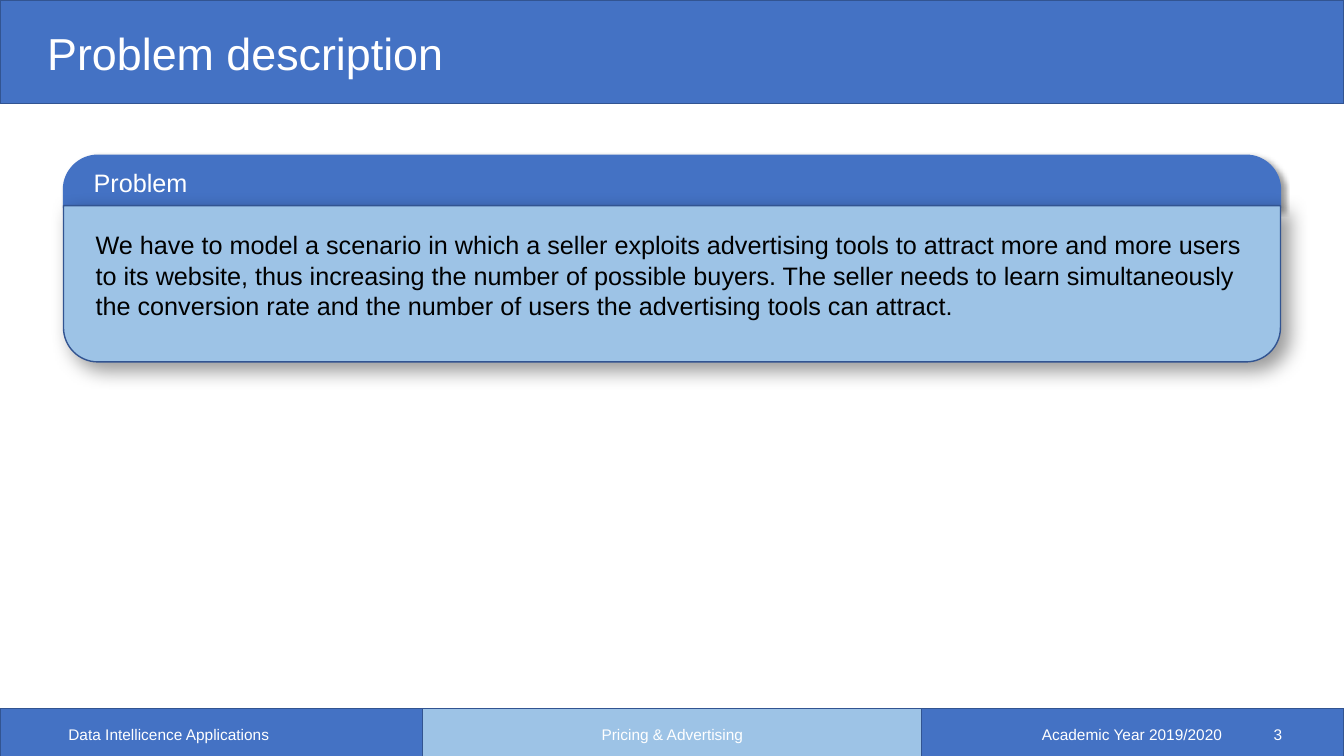
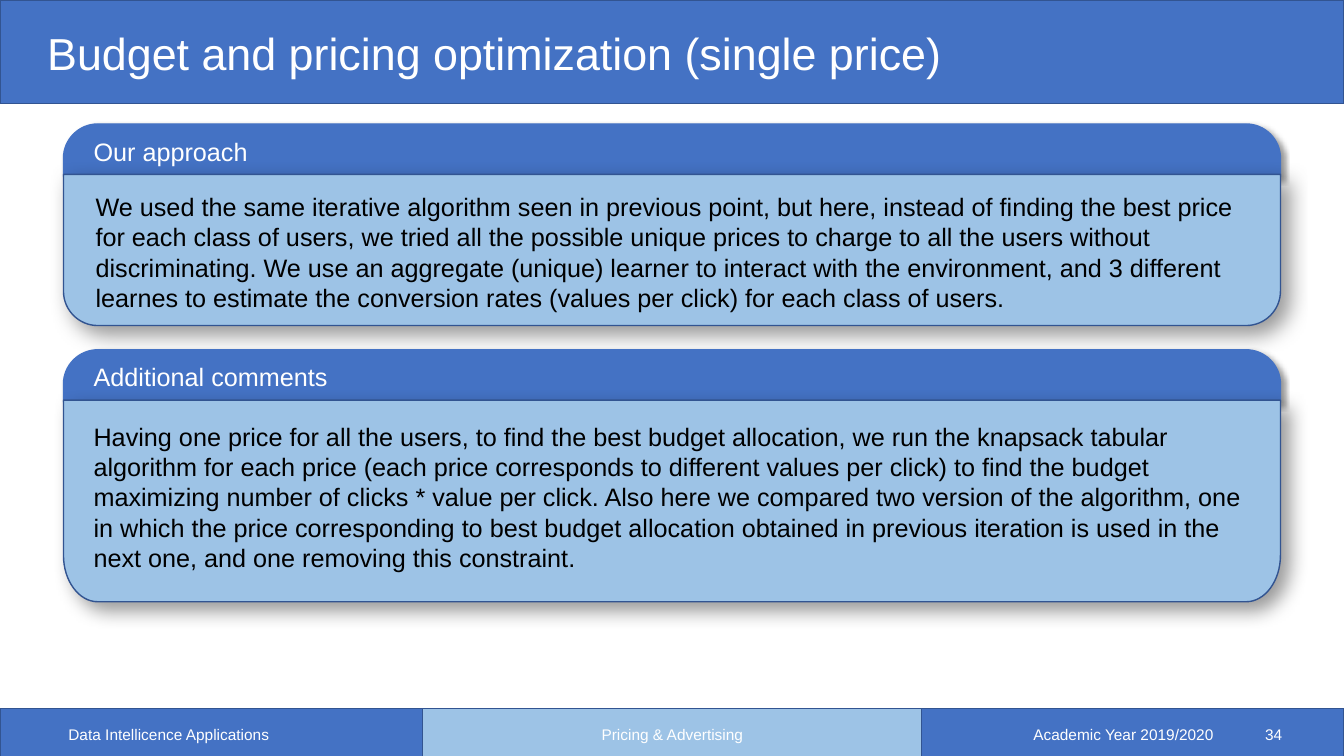
from lxml.etree import Element, SubElement
from pptx import Presentation
from pptx.dml.color import RGBColor
from pptx.enum.shapes import MSO_SHAPE
from pptx.enum.text import MSO_ANCHOR as Anchor, PP_ALIGN as Align
from pptx.oxml.ns import qn
from pptx.util import Inches, Pt

BLUE = RGBColor(0x44, 0x72, 0xC4)
LIGHT_BLUE = RGBColor(0x9D, 0xC3, 0xE6)
OUTLINE = RGBColor(0x32, 0x54, 0x91)
WHITE = RGBColor(0xFF, 0xFF, 0xFF)
BLACK = RGBColor(0, 0, 0)
FONT = "Arial"

SLIDE_WIDTH, SLIDE_HEIGHT = 13.33, 7.5
PANEL_LEFT, PANEL_WIDTH = 0.63, 12.07
HEADING_HEIGHT, HEADING_STEP = 0.52, 0.5
CORNER = 0.34
ARC_PULL = 0.55  # share of the way from an arc's end to its corner

FOOTER_TOP, FOOTER_HEIGHT = 7.03, 0.49
NUMBER_RIGHT, NUMBER_GAP, DIGIT_WIDTH = 2.8, 0.51, 0.085


def add_text(slide, text, left, top, width, height, *, size=18, color=WHITE,
             align=Align.LEFT, anchor=Anchor.TOP, line_spacing=None, tabs=()):
    """Add a text box; tabs holds pairs of position in inches and alignment."""
    box = slide.shapes.add_textbox(Inches(left), Inches(top), Inches(width), Inches(height))
    frame = box.text_frame
    frame.word_wrap = True
    frame.vertical_anchor = anchor
    paragraph = frame.paragraphs[0]
    paragraph.alignment = align
    paragraph.line_spacing = line_spacing
    run = paragraph.add_run()
    run.text = text
    run.font.name = FONT
    run.font.size = Pt(size)
    run.font.color.rgb = color
    if tabs:
        tab_list = SubElement(paragraph._p.get_or_add_pPr(), qn("a:tabLst"))
        for position, side in tabs:
            SubElement(tab_list, qn("a:tab"), pos=str(Inches(position)), algn=side)


def paint(shape, fill, line):
    shape.shadow.inherit = False
    shape.fill.solid()
    shape.fill.fore_color.rgb = fill
    shape.line.color.rgb = line
    shape.line.width = Pt(1)


def add_band(slide, left, top, width, height, fill):
    band = slide.shapes.add_shape(MSO_SHAPE.RECTANGLE, Inches(left), Inches(top),
                                  Inches(width), Inches(height))
    paint(band, fill, OUTLINE)


def add_shadow(shape, blur, distance):
    """Cast a soft black shadow to the lower right; lengths are in points."""
    effects = shape.element.spPr.find(qn("a:effectLst"))
    shadow = SubElement(effects, qn("a:outerShdw"), blurRad=str(Pt(blur)),
                        dist=str(Pt(distance)), dir="2700000", algn="tl", rotWithShape="0")
    color = SubElement(shadow, qn("a:srgbClr"), val="000000")
    SubElement(color, qn("a:alpha"), val="40000")


def bend(segment, start, corner, end):
    """Turn a straight segment into a curve that is pulled towards the corner."""
    segment.tag = qn("a:cubicBezTo")
    for index, point in enumerate((start, end)):
        x, y = (round(p + ARC_PULL * (c - p)) for p, c in zip(point, corner))
        segment.insert(index, Element(qn("a:pt"), x=str(x), y=str(y)))


def add_half_rounded(slide, top, height, fill, line, *, round_top, corner_height=CORNER):
    """Draw a full-width panel part with two rounded corners, at its top or its bottom."""
    left, top = Inches(PANEL_LEFT), Inches(top)
    width, height = Inches(PANEL_WIDTH), Inches(height)
    inset, drop = Inches(CORNER), Inches(corner_height)
    round_y, square_y, side_y = (0, height, drop) if round_top else (height, 0, height - drop)
    points = [(0, square_y), (0, side_y), (inset, round_y),
              (width - inset, round_y), (width, side_y), (width, square_y)]
    start, *others = [(left + x, top + y) for x, y in points]
    builder = slide.shapes.build_freeform(*start)
    builder.add_line_segments(others, close=True)
    shape = builder.convert_to_shape()
    segments = list(shape.element.iter(qn("a:lnTo")))
    bend(segments[1], points[1], (0, round_y), points[2])
    bend(segments[3], points[3], (width, round_y), points[4])
    paint(shape, fill, line)
    return shape


def add_panel(slide, heading, text, top, body_height, *, text_top, text_left=0.85,
              corner_height=CORNER):
    header = add_half_rounded(slide, top, HEADING_HEIGHT, BLUE, BLUE, round_top=True)
    add_shadow(header, blur=4, distance=3)
    body = add_half_rounded(slide, top + HEADING_STEP, body_height, LIGHT_BLUE, OUTLINE,
                            round_top=False, corner_height=corner_height)
    add_shadow(body, blur=14, distance=7)
    add_text(slide, heading, 0.83, top + 0.07, 7.78, 0.4)
    add_text(slide, text, text_left, text_top, 11.64, top + HEADING_STEP + body_height - text_top,
             color=BLACK)


def add_footer_text(slide, text, left, width, **text_format):
    add_text(slide, text, left, 7.15, width, 0.27, size=11, anchor=Anchor.MIDDLE, **text_format)


def add_framed_slide(presentation, title, number):
    """Add a slide with the title band and the footer."""
    slide = presentation.slides.add_slide(presentation.slide_layouts[6])
    add_band(slide, 0, FOOTER_TOP, SLIDE_WIDTH, FOOTER_HEIGHT, BLUE)
    add_band(slide, 4.19, FOOTER_TOP, 4.95, FOOTER_HEIGHT, LIGHT_BLUE)
    add_band(slide, 0, 0, SLIDE_WIDTH, 1.03, BLUE)
    add_text(slide, title, 0.37, 0.24, 11.5, 0.64, size=32,
             anchor=Anchor.MIDDLE, line_spacing=0.9)
    add_footer_text(slide, "Data Intellicence Applications", 0.58, 3)
    add_footer_text(slide, "Pricing & Advertising", 4.42, 4.5, align=Align.CENTER)
    number_left = NUMBER_RIGHT - DIGIT_WIDTH * len(str(number))
    add_footer_text(slide, f"\tAcademic Year 2019/2020\t{number}", 9.82, 3,
                    tabs=[(number_left - NUMBER_GAP, "r"), (number_left, "l")])
    return slide


def add_problem_slide(presentation):
    slide = add_framed_slide(presentation, "Problem description", 3)
    add_panel(
        slide, "Problem",
        "We have to model a scenario in which a seller exploits advertising tools to attract "
        "more and more users to its website, thus increasing the number of possible buyers. "
        "The seller needs to learn simultaneously the conversion rate and the number of users "
        "the advertising tools can attract.",
        1.54, 1.55, text_top=2.23)


def add_optimization_slide(presentation):
    slide = add_framed_slide(presentation, "Budget and pricing optimization (single price)", 34)
    add_panel(
        slide, "Our approach",
        "We used the same iterative algorithm seen in previous point, but here, instead of "
        "finding the best price for each class of users, we tried all the possible unique "
        "prices to charge to all the users without discriminating. We use an aggregate "
        "(unique) learner to interact with the environment, and 3 different learnes to "
        "estimate the conversion rates (values per click) for each class of users.",
        1.23, 1.5, text_top=1.85)
    add_panel(
        slide, "Additional comments",
        "Having one price for all the users, to find the best budget allocation, we run the "
        "knapsack tabular algorithm for each price (each price corresponds to different values "
        "per click) to find the budget maximizing number of clicks * value per click. Also here "
        "we compared two version of the algorithm, one in which the price corresponding to best "
        "budget allocation obtained in previous iteration is used in the next one, and one "
        "removing this constraint.",
        3.47, 2, text_top=4.13, text_left=0.83, corner_height=0.46)


def main():
    presentation = Presentation()
    presentation.slide_width = Inches(SLIDE_WIDTH)
    presentation.slide_height = Inches(SLIDE_HEIGHT)
    add_problem_slide(presentation)
    add_optimization_slide(presentation)
    presentation.save("out.pptx")


if __name__ == "__main__":
    main()
